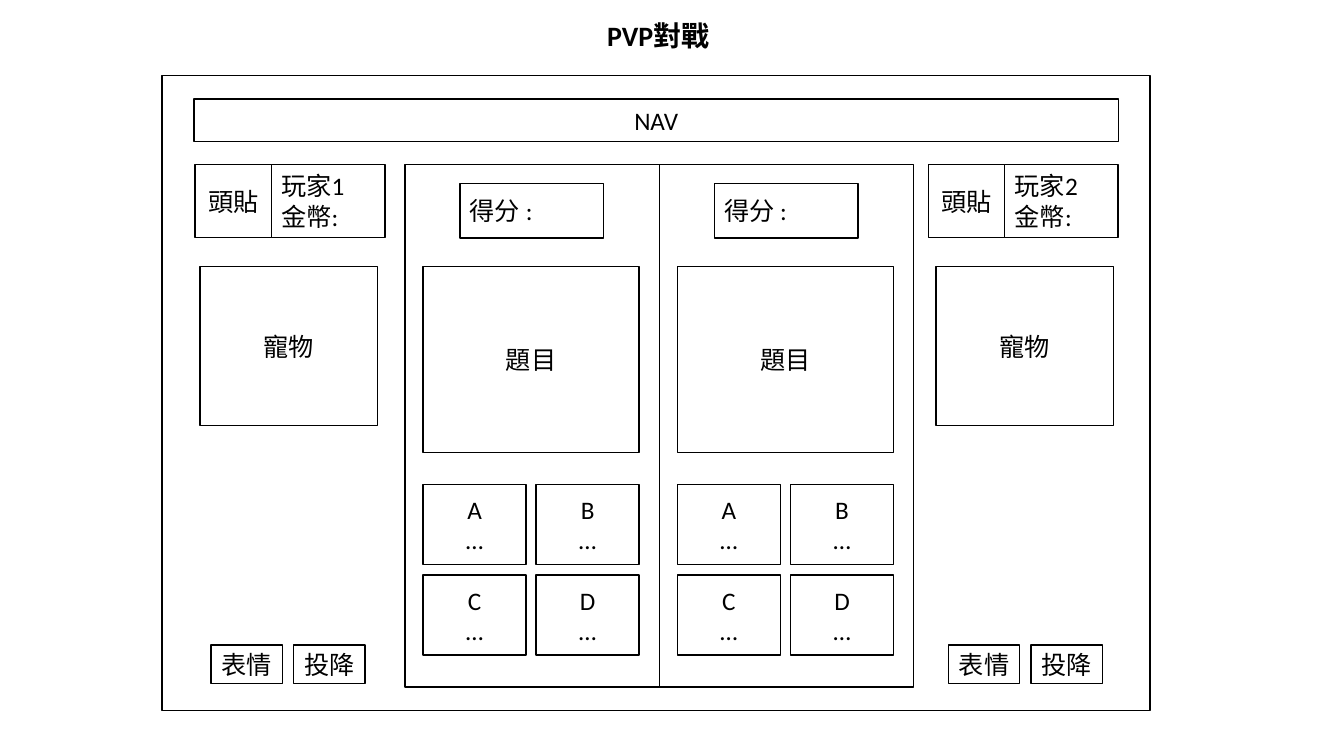
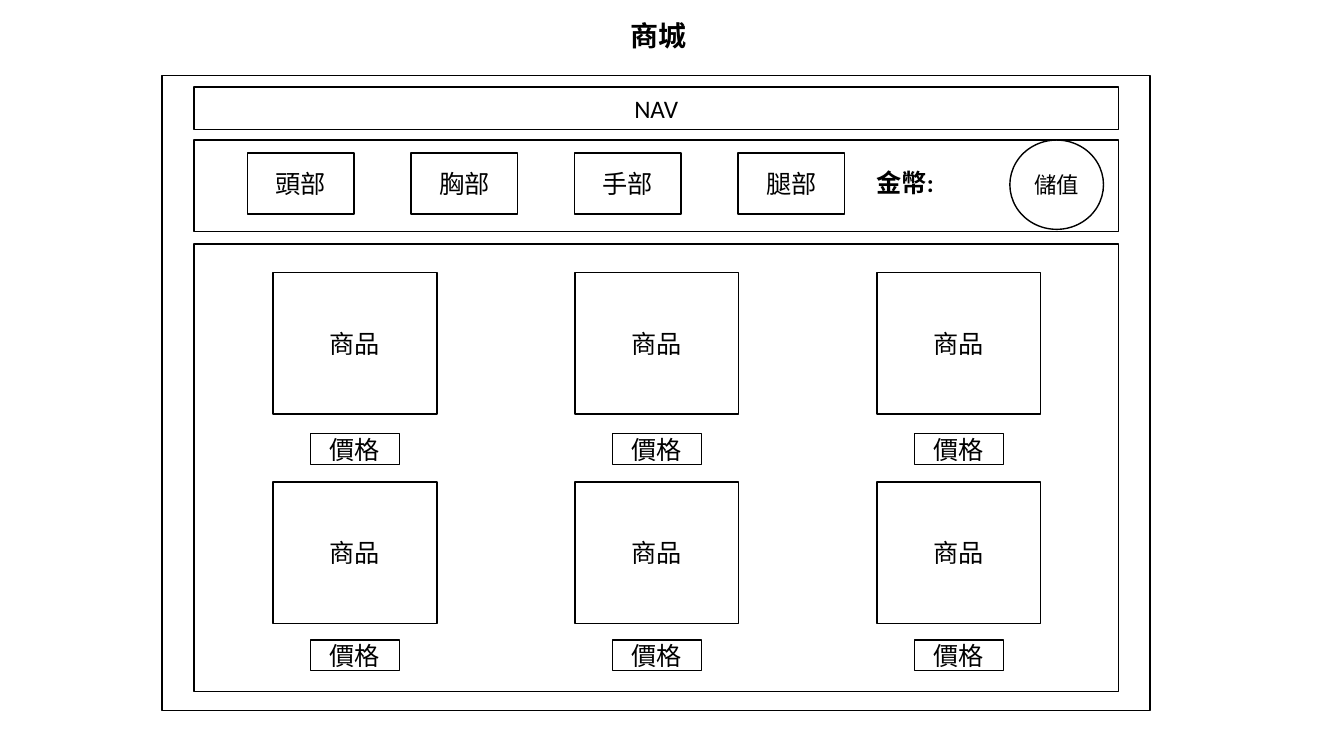
"""Build two wireframe slides: a player battle screen and a shop screen."""
from pptx import Presentation
from pptx.dml.color import RGBColor
from pptx.enum.shapes import MSO_SHAPE
from pptx.enum.text import MSO_ANCHOR, MSO_AUTO_SIZE, PP_ALIGN
from pptx.util import Cm, Pt

RECTANGLE, OVAL = MSO_SHAPE.RECTANGLE, MSO_SHAPE.OVAL
LEFT, CENTER = PP_ALIGN.LEFT, PP_ALIGN.CENTER
MIDDLE = MSO_ANCHOR.MIDDLE
NO_AUTOFIT = MSO_AUTO_SIZE.NONE
BLACK = RGBColor(0x00, 0x00, 0x00)
WHITE = RGBColor(0xFF, 0xFF, 0xFF)
FONT = "Calibri"

TITLE_BOX = (13.72, 0.33, 5.74, 1.12)
FRAME = (4.08, 1.9, 24.9, 16)
CONTENT_LEFT, CONTENT_WIDTH = 4.89, 23.3

PLAYERS = [
    {"name": "玩家1", "card": 4.92, "pet": 5.04, "buttons": 5.32},
    {"name": "玩家2", "card": 23.4, "pet": 23.59, "buttons": 23.9},
]
BUTTONS = ["表情", "投降"]
ANSWERS = ["A", "B", "C", "D"]
BOARD_LEFT, BOARD_WIDTH = 10.21, 6.41

BODY_PARTS = ["頭部", "胸部", "手部", "腿部"]
SHELF_ROWS = [{"item": 6.87, "price": 10.93}, {"item": 12.15, "price": 16.13}]
SHELF_COLUMNS = 3
ITEM_WIDTH, PRICE_WIDTH = 4.13, 2.24


def write_text(text_frame, text, size=18, bold=False, align=CENTER):
    """Fill a text frame, one paragraph for each line of text."""
    text_frame.word_wrap = True
    text_frame.vertical_anchor = MIDDLE
    text_frame.text = text
    for paragraph in text_frame.paragraphs:
        paragraph.alignment = align
        font = paragraph.runs[0].font
        font.name, font.size, font.bold = FONT, Pt(size), bold
        font.color.rgb = BLACK


def add_box(shapes, left, top, width, height, text="", kind=RECTANGLE, **style):
    """Add an outlined white shape, placed in centimetres."""
    shape = shapes.add_shape(kind, Cm(left), Cm(top), Cm(width), Cm(height))
    shape.shadow.inherit = False
    shape.fill.solid()
    shape.fill.fore_color.rgb = WHITE
    shape.line.color.rgb = BLACK
    shape.line.width = Pt(1)
    if text:
        write_text(shape.text_frame, text, **style)


def add_screen(presentation, title, nav_top):
    """Add a slide with its title, screen frame and navigation bar."""
    slide = presentation.slides.add_slide(presentation.slide_layouts[5])
    title_shape = slide.shapes.title
    title_shape.left, title_shape.top, title_shape.width, title_shape.height = map(Cm, TITLE_BOX)
    title_shape.text_frame.auto_size = NO_AUTOFIT
    write_text(title_shape.text_frame, title, size=20, bold=True)
    add_box(slide.shapes, *FRAME)
    add_box(slide.shapes, CONTENT_LEFT, nav_top, CONTENT_WIDTH, 1.07, "NAV")
    return slide.shapes


def add_player(shapes, player):
    """Add the player's card, pet and buttons."""
    add_box(shapes, player["pet"], 6.72, 4.48, 4, "寵物")
    add_box(shapes, player["card"] + 1.92, 4.14, 2.86, 1.85, f"{player['name']}\n金幣:", align=LEFT)
    add_box(shapes, player["card"], 4.14, 1.92, 1.85, "頭貼")
    for index, label in enumerate(BUTTONS):
        add_box(shapes, player["buttons"] + index * 2.08, 16.25, 1.8, 0.98, label)


def add_board(shapes, left):
    """Add a board with its score, question and answers."""
    add_box(shapes, left, 4.14, BOARD_WIDTH, 13.17)
    add_box(shapes, left + 1.38, 4.63, 3.62, 1.37, "得分 :", align=LEFT)
    add_box(shapes, left + 0.45, 6.72, 5.45, 4.69, "題目")
    answers = shapes.add_group_shape().shapes
    for index, letter in enumerate(ANSWERS):
        row, column = divmod(index, 2)
        add_box(answers, left + 0.45 + column * 2.85, 12.21 + row * 2.28, 2.6, 2.02, f"{letter}\n…")


def build_battle(presentation):
    """Build the battle screen."""
    shapes = add_screen(presentation, "PVP對戰", 2.5)
    for index, player in enumerate(PLAYERS):
        add_player(shapes, player)
        add_board(shapes, BOARD_LEFT + index * BOARD_WIDTH)


def build_shop(presentation):
    """Build the shop screen."""
    shapes = add_screen(presentation, "商城", 2.19)
    add_box(shapes, CONTENT_LEFT, 3.53, CONTENT_WIDTH, 2.3)
    for index, part in enumerate(BODY_PARTS):
        add_box(shapes, 6.24 + index * 4.12, 3.86, 2.68, 1.53, part)
    coins = shapes.add_textbox(Cm(21.84), Cm(4.09), Cm(2.4), Cm(1.03))
    write_text(coins.text_frame, "金幣:", bold=True, align=LEFT)
    add_box(shapes, 25.45, 3.53, 2.36, 2.25, "儲值", kind=OVAL, size=16)

    add_box(shapes, CONTENT_LEFT, 6.15, CONTENT_WIDTH, 11.27)
    for row in SHELF_ROWS:
        for column in range(SHELF_COLUMNS):
            left = 6.88 + column * 7.61
            price_left = left + (ITEM_WIDTH - PRICE_WIDTH) / 2
            add_box(shapes, left, row["item"], ITEM_WIDTH, 3.56, "商品")
            add_box(shapes, price_left, row["price"], PRICE_WIDTH, 0.77, "價格")


def main():
    """Build and save the presentation."""
    presentation = Presentation()
    presentation.slide_width, presentation.slide_height = Cm(33.87), Cm(19.05)
    build_battle(presentation)
    build_shop(presentation)
    presentation.save("out.pptx")


if __name__ == "__main__":
    main()
